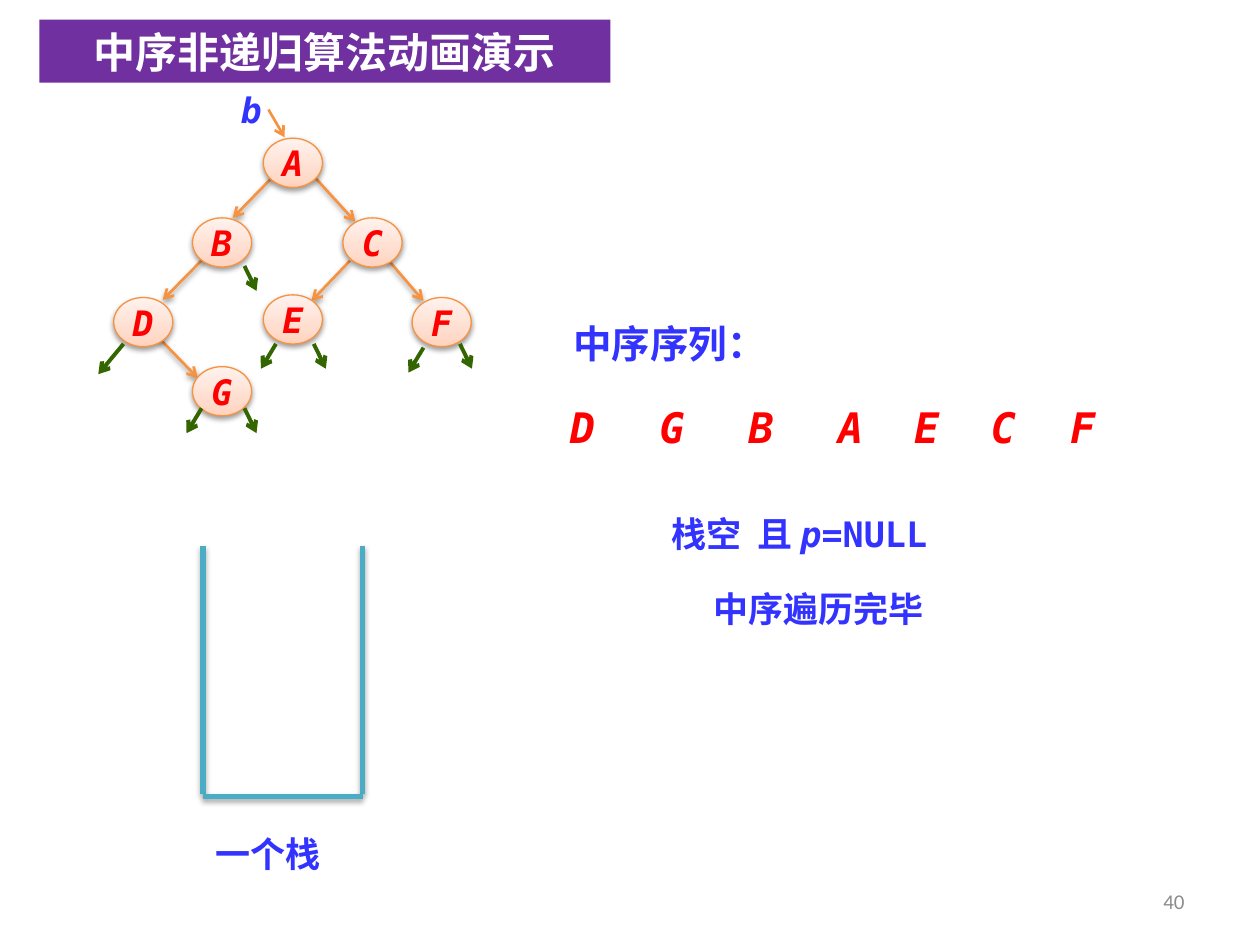
from copy import deepcopy
from dataclasses import dataclass

from lxml import etree
from pptx import Presentation
from pptx.dml.color import RGBColor
from pptx.enum.shapes import MSO_CONNECTOR, MSO_SHAPE
from pptx.enum.text import MSO_ANCHOR, PP_ALIGN
from pptx.oxml.ns import qn
from pptx.util import Pt

LEFT, CENTER, RIGHT = PP_ALIGN.LEFT, PP_ALIGN.CENTER, PP_ALIGN.RIGHT
MIDDLE = MSO_ANCHOR.MIDDLE
OVAL, RECTANGLE = MSO_SHAPE.OVAL, MSO_SHAPE.RECTANGLE
STRAIGHT = MSO_CONNECTOR.STRAIGHT


@dataclass(frozen=True)
class Theme:
    mono: str = "DejaVu Sans Mono"
    title_font: str = "Times New Roman"
    number_font: str = "Calibri"
    title_size: float = 24
    sequence_size: float = 24
    heading_size: float = 22
    body_size: float = 20
    number_size: float = 12
    blue: str = "3333FF"
    red: str = "FF0000"
    white: str = "FFFFFF"
    gray: str = "8C8C8C"
    purple: str = "7030A0"
    orange: str = "F69240"
    green: str = "336600"
    teal: str = "4BACC6"
    node_stops: tuple = ((0, "FFD2BD"), (0.35, "FFDED0"), (1, "FFF2ED"))


THEME = Theme()


def color(value):
    return RGBColor.from_string(value)


def add_shadow(effects, opacity, distance):
    shadow = etree.SubElement(effects, qn("a:outerShdw"), blurRad=str(Pt(3.1)),
                              dist=str(Pt(distance)), dir="5400000", rotWithShape="0")
    black = etree.SubElement(shadow, qn("a:srgbClr"), val="000000")
    etree.SubElement(black, qn("a:alpha"), val=str(opacity * 1000))


def add_line(slide, start, end, line_color, width, arrow=True, shadow=None):
    line = slide.shapes.add_connector(STRAIGHT, *(Pt(value) for value in (*start, *end)))
    line.line.color.rgb = color(line_color)
    line.line.width = Pt(width)
    if arrow:
        etree.SubElement(line.line._get_or_add_ln(), qn("a:tailEnd"), type="arrow")
    effects = etree.SubElement(line._element.spPr, qn("a:effectLst"))
    if shadow:
        add_shadow(effects, *shadow)


def set_text(shape, runs, size, text_color, font=THEME.mono, align=CENTER,
             bold=True, wrap=True):
    """Fill the first paragraph with (text, italic) runs."""
    shape.text_frame.word_wrap = wrap
    paragraph = shape.text_frame.paragraphs[0]
    paragraph.alignment = align
    for text, italic in runs:
        run = paragraph.add_run()
        run.text = text
        run.font.name, run.font.size = font, Pt(size)
        run.font.bold, run.font.italic = bold, italic
        run.font.color.rgb = color(text_color)


def add_text(slide, box, runs, size, text_color, inset=True, **options):
    shape = slide.shapes.add_textbox(*(Pt(value) for value in box))
    if not inset:
        frame = shape.text_frame
        frame.margin_left = frame.margin_right = frame.margin_top = frame.margin_bottom = 0
    set_text(shape, runs, size, text_color, **options)
    return shape


def add_title(slide, box):
    banner = slide.shapes.add_shape(RECTANGLE, *(Pt(value) for value in box))
    banner.shadow.inherit = False
    banner.fill.solid()
    banner.fill.fore_color.rgb = color(THEME.purple)
    banner.line.fill.background()
    set_text(banner, [("中序非递归算法动画演示", False)], THEME.title_size, THEME.white,
             font=THEME.title_font)


def add_node(slide, left, top, name):
    node = slide.shapes.add_shape(OVAL, Pt(left), Pt(top), Pt(33.8), Pt(28.1))
    node.fill.gradient()
    node.fill.gradient_angle = 90
    first_stop = node._element.spPr.find(".//" + qn("a:gs"))
    first_stop.addnext(deepcopy(first_stop))
    for stop, (position, stop_color) in zip(node.fill.gradient_stops, THEME.node_stops):
        stop.position = position
        stop.color.rgb = color(stop_color)
    node.line.color.rgb = color(THEME.orange)
    node.line.width = Pt(0.75)
    node.shadow.inherit = False
    add_shadow(node._element.spPr.find(qn("a:effectLst")), 38, 1.6)
    node.text_frame.vertical_anchor = MIDDLE
    set_text(node, [(name, True)], THEME.body_size, THEME.red, wrap=False)


def add_tree(slide, left, top):
    def at(x, y):
        return left + x, top + y

    # Links from parent to child
    for start, end in (
        ((99.5, 51.5), (77, 74.5)),     # A to B
        ((124, 51.5), (147, 76.7)),     # A to C
        ((62, 96), (37, 121.4)),        # B to D
        ((144, 99), (122, 122)),        # C to E
        ((163.6, 96), (186, 122)),      # C to F
        ((34.7, 143), (57, 166)),       # D to G
    ):
        add_line(slide, at(*start), at(*end), THEME.orange, 1.5, shadow=(38, 1.6))

    # Nodes
    for name, x, y in (("A", 94.5, 29), ("B", 54, 74.5), ("C", 140, 74.5), ("D", 9, 120),
                       ("E", 94.5, 118.5), ("F", 179.5, 120), ("G", 54, 159.5)):
        add_node(slide, *at(x, y), name)

    # Empty child links, by start and direction
    to_left, to_right, far_left = (-8.6, 14.2), (6.9, 14.2), (-14.4, 17.3)
    for x, y, (dx, dy) in (
        (83.7, 183.3, to_right), (59.2, 183.3, to_left),
        (123.3, 146.5, to_right), (101.7, 146.5, to_left),
        (206.8, 146.5, to_right), (186, 148.7, to_left),
        (14.6, 146.5, far_left), (83.7, 102, to_right),
    ):
        add_line(slide, at(x, y), at(x + dx, y + dy), THEME.green, 2.25)

    # Root pointer
    add_line(slide, at(97.4, 12.6), at(106.7, 28.5), THEME.orange, 1.5)
    add_text(slide, (*at(73.6, 0.4), 28, 24.5), [("b", True)], THEME.body_size,
             THEME.blue, inset=False)


def add_stack(slide, left, top, width, height):
    right, bottom = left + width, top + height
    floor = bottom + 1.5
    for start, end in (((left, top), (left, bottom)), ((right, top), (right, bottom)),
                       ((left, floor), (right, floor))):
        add_line(slide, start, end, THEME.teal, 3, arrow=False, shadow=(35, 1.8))
    add_text(slide, (left, bottom + 18.7, width, 31.7), [("一个栈", False)],
             THEME.body_size, THEME.blue, align=LEFT)


def add_result(slide, left, top):
    add_text(slide, (left, top, 136, 33.8), [("中序序列：", False)],
             THEME.heading_size, THEME.blue)

    # Visited nodes in order, each with the gap to the next
    x = left + 1.4
    for name, gap in zip("DGBAECF", (51.1, 51.1, 51.1, 43.5, 43.7, 45.4, 0)):
        add_text(slide, (x, top + 50.4, 33.8, 28.8), [(name, True)], THEME.sequence_size,
                 THEME.red, inset=False)
        x += gap

    # End condition
    add_text(slide, (left + 62, top + 110.2, 180, 31.7),
             [("栈空  且 ", False), ("p", True), ("=NULL", False)],
             THEME.body_size, THEME.blue, align=LEFT)
    add_text(slide, (left + 45.4, top + 152.6, 215.3, 31.7), [("中序遍历完毕", False)],
             THEME.body_size, THEME.blue)


def add_slide_number(slide, box):
    number = add_text(slide, box, [("40", False)], THEME.number_size, THEME.gray,
                      font=THEME.number_font, align=RIGHT, bold=False)
    number.text_frame.vertical_anchor = MIDDLE


def main():
    presentation = Presentation()
    presentation.slide_width, presentation.slide_height = Pt(720), Pt(540)
    slide = presentation.slides.add_slide(presentation.slide_layouts[6])
    add_title(slide, (22.5, 11.3, 326.3, 36))
    add_tree(slide, 56, 50)
    add_stack(slide, 116, 311.8, 91.2, 141.8)
    add_result(slide, 314.6, 179.3)
    add_slide_number(slide, (516, 500.5, 168, 28.8))
    presentation.save("out.pptx")


if __name__ == "__main__":
    main()
